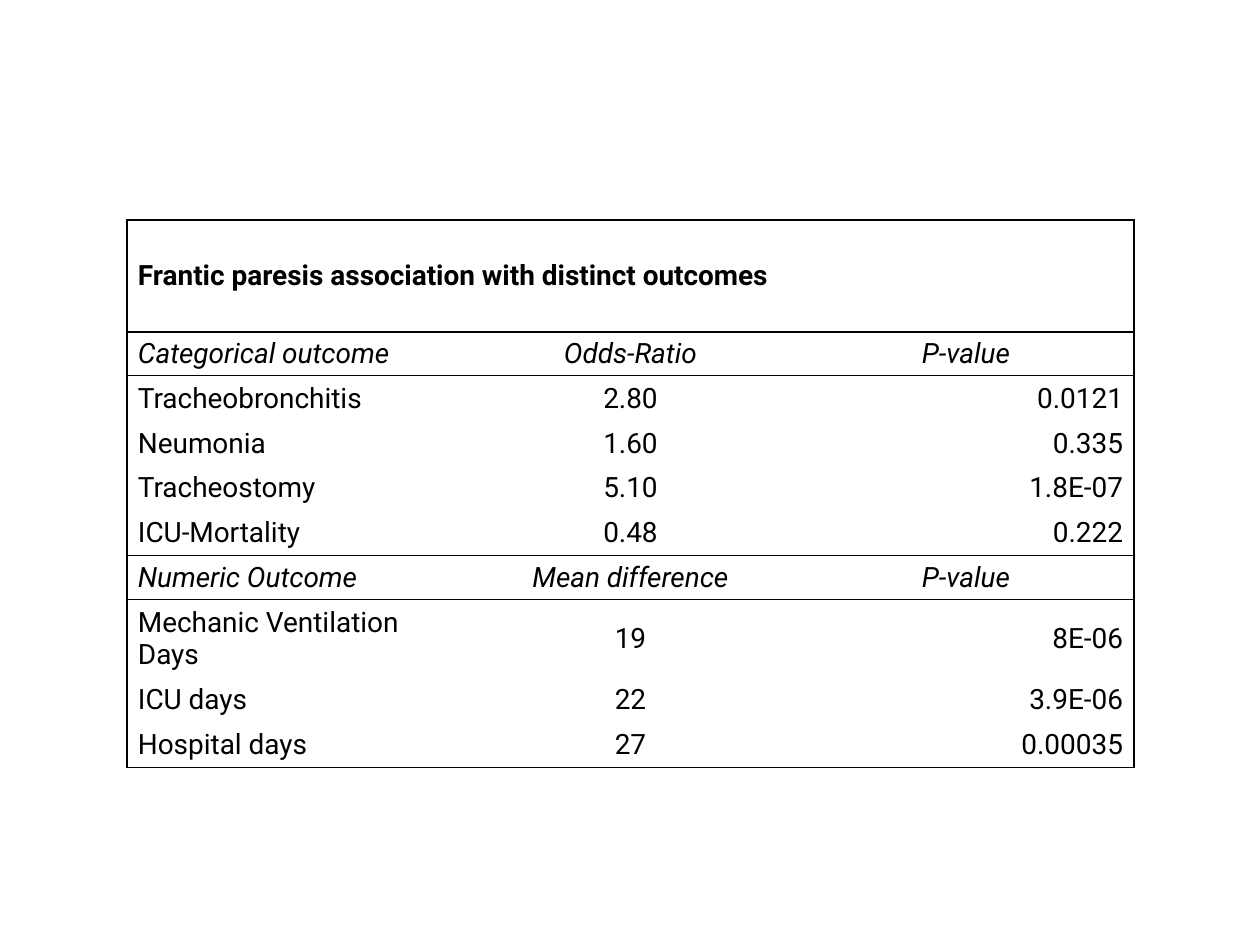
from dataclasses import dataclass

from lxml.etree import SubElement
from pptx import Presentation
from pptx.dml.color import RGBColor
from pptx.enum.text import MSO_ANCHOR as ANCHOR, PP_ALIGN as ALIGN
from pptx.oxml.ns import qn
from pptx.util import Emu, Pt

PX = 914400 // 126


def px(n):
    return Emu(n * PX)


@dataclass(frozen=True)
class Theme:
    font: str = "Roboto"
    size: int = 16
    ink: str = "000000"
    rule: float = 0.75
    inset_x: int = 11
    inset_y: int = 5


class SlideBuilder:
    def __init__(self, slide, theme):
        self.slide = slide
        self.theme = theme

    def table(self, x, y, widths, heights):
        frame = self.slide.shapes.add_table(
            len(heights), len(widths), px(x), px(y), px(sum(widths)), px(sum(heights)))
        table = frame.table
        table.first_row = table.horz_banding = False
        for column, width in zip(table.columns, widths):
            column.width = px(width)
        for row, height in zip(table.rows, heights):
            row.height = px(height)
        return table

    def frame_cell(self, cell, sides):
        """Rule the given sides (from "LRTB") and leave the others open."""
        tcPr = cell._tc.get_or_add_tcPr()
        for side in "LRTB":
            ln = SubElement(tcPr, qn(f"a:ln{side}"), w=str(Pt(self.theme.rule)))
            if side in sides:
                fill = SubElement(ln, qn("a:solidFill"))
                SubElement(fill, qn("a:srgbClr"), val=self.theme.ink)
            else:
                SubElement(ln, qn("a:noFill"))
        cell.fill.background()

    def write_cell(self, cell, text, align, bold=False, italic=False):
        t = self.theme
        cell.vertical_anchor = ANCHOR.MIDDLE
        cell.margin_left = cell.margin_right = px(t.inset_x)
        cell.margin_top = cell.margin_bottom = px(t.inset_y)
        p = cell.text_frame.paragraphs[0]
        p.text = text
        p.alignment = align
        font = p.runs[0].font
        font.name, font.size = t.font, Pt(t.size)
        font.bold, font.italic = bold, italic
        font.color.rgb = RGBColor.from_string(t.ink)


TITLE = "Frantic paresis association with distinct outcomes"
SECTIONS = [
    (("Categorical outcome", "Odds-Ratio", "P-value"), [
        ("Tracheobronchitis", "2.80", "0.0121"),
        ("Neumonia", "1.60", "0.335"),
        ("Tracheostomy", "5.10", "1.8E-07"),
        ("ICU-Mortality", "0.48", "0.222"),
    ]),
    (("Numeric Outcome", "Mean difference", "P-value"), [
        ("Mechanic Ventilation Days", "19", "8E-06"),
        ("ICU days", "22", "3.9E-06"),
        ("Hospital days", "27", "0.00035"),
    ]),
]
COLUMNS = [336, 335, 336]
OUTER = ["L", "", "R"]
TITLE_H, HEADING_H, BODY_H, WRAPPED_H = 112, 44, 45, 78
HEADING_ALIGN = [ALIGN.LEFT, ALIGN.CENTER, ALIGN.CENTER]
BODY_ALIGN = [ALIGN.LEFT, ALIGN.CENTER, ALIGN.RIGHT]


def main():
    prs = Presentation()
    prs.slide_width, prs.slide_height = px(1260), px(945)
    s = SlideBuilder(prs.slides.add_slide(prs.slide_layouts[6]), Theme())

    # Rows: texts, height, ruled sides, alignments, italic
    rows = []
    for heading, body in SECTIONS:
        rows.append((heading, HEADING_H, "TB", HEADING_ALIGN, True))
        for i, texts in enumerate(body):
            height = WRAPPED_H if len(texts[0]) > 20 else BODY_H
            sides = ("T" if i == 0 else "") + ("B" if i == len(body) - 1 else "")
            rows.append((texts, height, sides, BODY_ALIGN, False))

    table = s.table(127, 220, COLUMNS, [TITLE_H] + [row[1] for row in rows])

    # Title across all columns
    for c, outer in enumerate(OUTER):
        s.frame_cell(table.cell(0, c), "TB" + ("LR" if c == 0 else outer))
    table.cell(0, 0).merge(table.cell(0, len(COLUMNS) - 1))
    s.write_cell(table.cell(0, 0), TITLE, ALIGN.LEFT, bold=True)

    # Headings and outcomes
    for r, (texts, _, sides, aligns, italic) in enumerate(rows, 1):
        for c, (text, align) in enumerate(zip(texts, aligns)):
            s.frame_cell(table.cell(r, c), sides + OUTER[c])
            s.write_cell(table.cell(r, c), text, align, italic=italic)

    prs.save("out.pptx")


if __name__ == "__main__":
    main()
